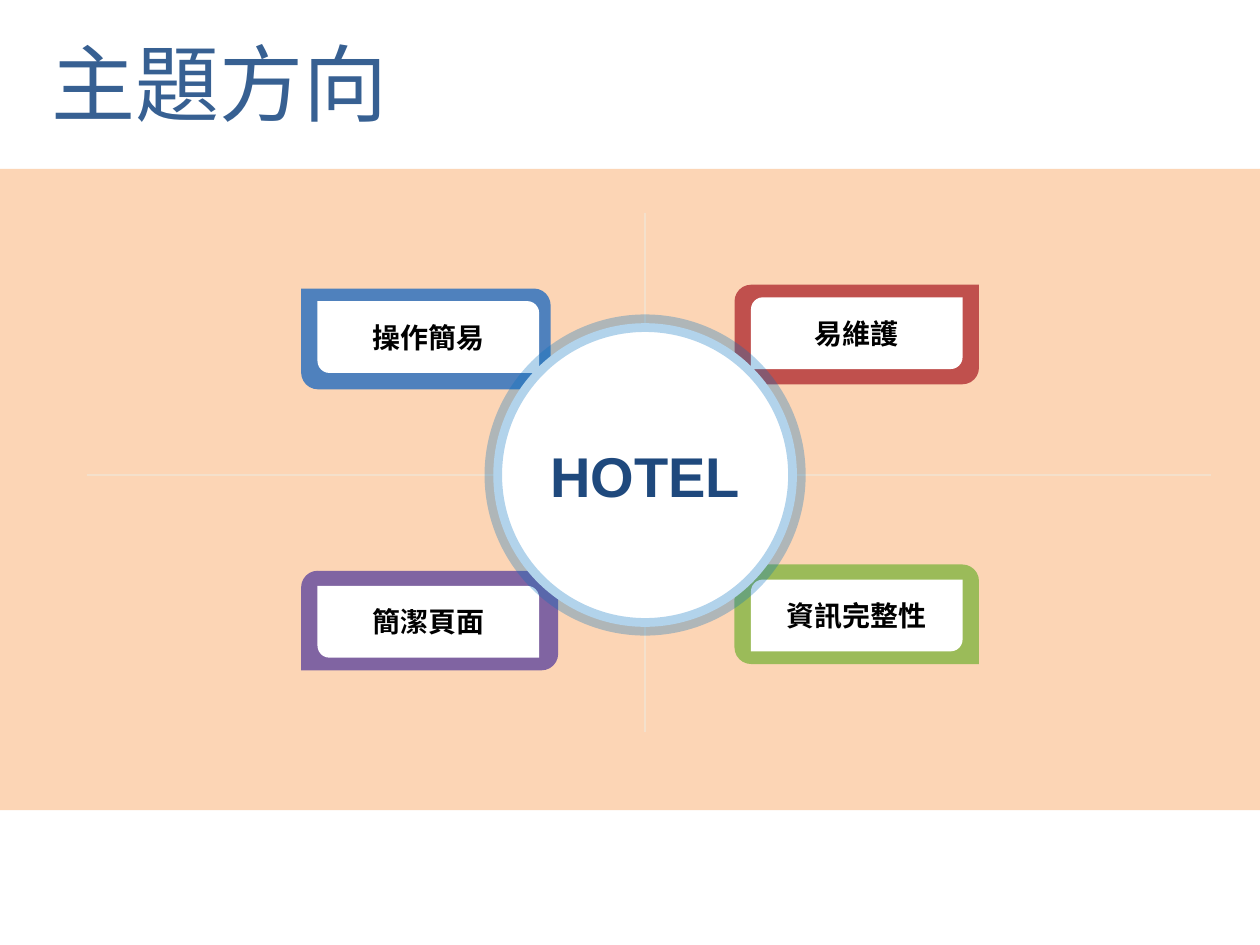
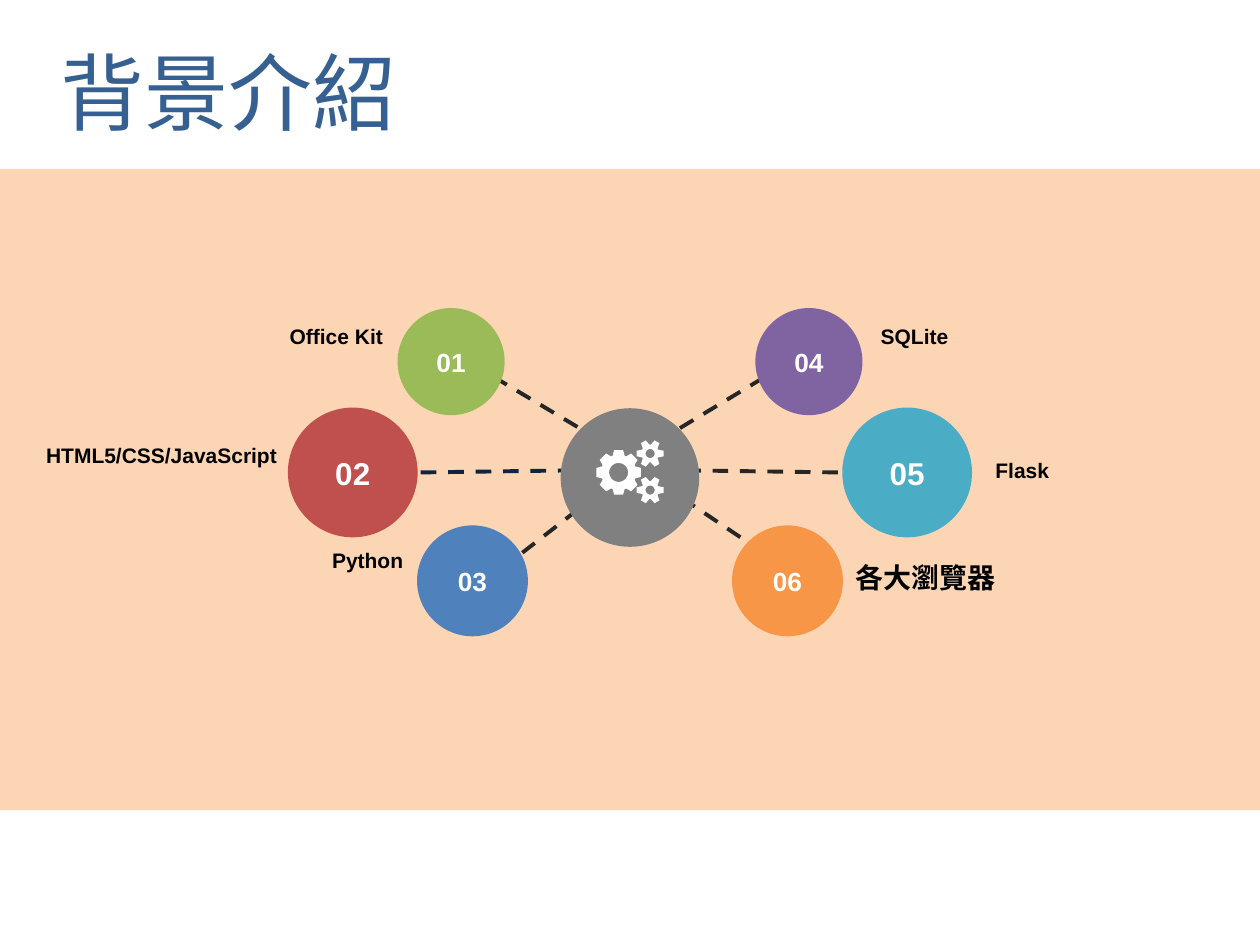
from math import cos, pi, sin

from lxml import etree
from pptx import Presentation
from pptx import util as u
from pptx.dml.color import RGBColor
from pptx.enum import dml, shapes, text
from pptx.oxml.ns import qn

WIDTH, HEIGHT = 10, 7.5
LATIN, CJK = "Arial", "Noto Sans CJK SC"
BAND, TITLE, WHITE, BLACK = "FCD5B5", "376092", "FFFFFF", "000000"
BLUE, RED, PURPLE, GREEN = "4F81BD", "C0504D", "8064A2", "9BBB59"
TEAL, ORANGE, GREY, DARK, NAVY = "4BACC6", "F79646", "808080", "262626", "0F243E"
FRAME_LINE, RING = "EEECE1", "0070C0"
LEFT, RIGHT = text.PP_ALIGN.LEFT, text.PP_ALIGN.RIGHT
CENTER = text.PP_ALIGN.CENTER
MIDDLE = text.MSO_ANCHOR.MIDDLE

# Title text and its top-left corner
THEME_TITLE = ("主題方向", 0.31, 0.2)
BACKGROUND_TITLE = ("背景介紹", 0.38, 0.27)

# label, colour, frame place, card place, frame mirrored, card mirrored
THEMES = [
    ("簡潔頁面", PURPLE, (2.39, 4.53, 2.04, 0.79), (2.52, 4.65, 1.76, 0.57), False, True),
    ("易維護", RED, (5.83, 2.26, 1.94, 0.79), (5.96, 2.36, 1.68, 0.57), False, False),
    ("操作簡易", BLUE, (2.39, 2.29, 1.98, 0.8), (2.52, 2.39, 1.76, 0.57), True, True),
    ("資訊完整性", GREEN, (5.83, 4.48, 1.94, 0.79), (5.96, 4.6, 1.68, 0.57), True, False),
]
AXES = [(0.69, 3.77, 9.61, 3.77), (5.12, 1.69, 5.12, 5.81)]

# Rows of circles, the same on both sides of the hub:
# distance from the hub, centre height, diameter, number size
ROWS = [(1.42, 2.87, 0.85, 15), (2.2, 3.75, 1.03, 18), (1.25, 4.61, 0.88, 15)]
HUB_X, HUB_Y, HUB_SIZE = 5.0, 3.79, 1.1
# label, colour, label's inner edge, top and width, font, size, spoke, spoke colour
LEFT_TOOLS = [
    ("Office Kit", GREEN, 3.11, 2.48, 3.0, LATIN, 12, (4.77, 3.5, 3.95, 3.01), DARK),
    ("HTML5/CSS/JavaScript", RED, 2.27, 3.42, 2.01, LATIN, 12, (4.77, 3.73, 3.3, 3.75), NAVY),
    ("Python", BLUE, 3.27, 4.26, 3.18, LATIN, 12, (4.76, 3.91, 4.09, 4.43), DARK),
]
RIGHT_TOOLS = [
    ("SQLite", PURPLE, 6.92, 2.48, 3.0, LATIN, 12, (5.21, 3.51, 6.04, 3.01), DARK),
    ("Flask", TEAL, 7.83, 3.54, 2.02, LATIN, 12, (5.22, 3.73, 6.69, 3.75), DARK),
    ("各大瀏覽器", ORANGE, 6.72, 4.43, 3.18, CJK, 16, (5.23, 3.83, 5.93, 4.3), DARK),
]
# centre x, centre y, tip radius, root radius, hole radius, teeth, half angles of tip and root
GEARS = [
    (4.91, 3.75, 0.18, 0.14, 0.075, 8, 0.2, 0.35),
    (5.16, 3.6, 0.11, 0.07, 0.036, 6, 0.2, 0.46),
    (5.16, 3.89, 0.11, 0.07, 0.036, 6, 0.2, 0.46),
]


def color(value):
    return RGBColor.from_string(value)


def inches(*lengths):
    return [u.Inches(length) for length in lengths]


def set_alpha(line, percent):
    fill = line.fill._xPr.find(qn("a:solidFill"))
    etree.SubElement(fill[0], qn("a:alpha"), val=str(percent * 1000))


def write(box, words, size, ink, font=LATIN, bold=True, align=CENTER,
          anchor=MIDDLE, wrap=True, insets=(0.07, 0.04)):
    frame = box.text_frame
    frame.word_wrap = wrap
    frame.vertical_anchor = anchor
    frame.margin_left = frame.margin_right = u.Inches(insets[0])
    frame.margin_top = frame.margin_bottom = u.Inches(insets[1])
    para = frame.paragraphs[0]
    para.text = words
    para.alignment = align
    para.font.size = u.Pt(size)
    para.font.bold = bold
    para.font.name = font
    para.font.color.rgb = color(ink)
    if font == CJK:
        default = para._p.pPr.find(qn("a:defRPr"))
        etree.SubElement(default, qn("a:ea"), typeface=font)
    return para


def paint(shape, fill):
    shape.shadow.inherit = False
    shape.fill.solid()
    shape.fill.fore_color.rgb = color(fill)
    shape.line.fill.background()
    return shape


def add_shape(slide, kind, place, fill):
    return paint(slide.shapes.add_shape(kind, *inches(*place)), fill)


def add_circle(slide, x, y, size, fill):
    place = (x - size / 2, y - size / 2, size, size)
    return add_shape(slide, shapes.MSO_SHAPE.OVAL, place, fill)


def add_card(slide, place, fill, mirrored):
    """Rectangle with two opposite round corners; mirrored rounds the other pair."""
    card = add_shape(slide, shapes.MSO_SHAPE.ROUND_2_DIAG_RECTANGLE, place, fill)
    if mirrored:
        card.adjustments[0], card.adjustments[1] = 0, 0.1667
    return card


def add_line(slide, ends, ink, width):
    line = slide.shapes.add_connector(shapes.MSO_CONNECTOR.STRAIGHT, *inches(*ends))
    line.line.color.rgb = color(ink)
    line.line.width = u.Pt(width)
    etree.SubElement(line._element.spPr, qn("a:effectLst"))
    return line.line


def add_slide(deck, title, left, top):
    """Slide with the shared title style and coloured band."""
    slide = deck.slides.add_slide(deck.slide_layouts[5])
    box = slide.shapes.title
    box.left, box.top, box.width, box.height = inches(left, top, 4.84, 0.91)
    write(box, title, 48, TITLE, CJK, bold=False, align=LEFT,
          anchor=text.MSO_ANCHOR.TOP, insets=(0.1, 0.05))
    box.text_frame.auto_size = text.MSO_AUTO_SIZE.NONE
    add_shape(slide, shapes.MSO_SHAPE.RECTANGLE, (0, 1.34, WIDTH, 5.09), BAND)
    return slide


def ring(x, y, polar):
    return [inches(x + r * cos(a), y + r * sin(a)) for a, r in polar]


def gear_outlines(x, y, tip, root, hole, teeth, tip_half, root_half):
    """Toothed rim and round hole of a gear, as two lists of points."""
    tooth = [(-root_half, root), (-tip_half, tip), (tip_half, tip), (root_half, root)]
    rim = [(2 * pi * n / teeth + a, r) for n in range(teeth) for a, r in tooth]
    circle = [(-2 * pi * n / 36, hole) for n in range(36)]
    return [ring(x, y, rim), ring(x, y, circle)]


def add_gears(slide):
    outlines = [outline for gear in GEARS for outline in gear_outlines(*gear)]
    builder = slide.shapes.build_freeform(*outlines[0][0])
    for number, points in enumerate(outlines):
        if number:
            builder.move_to(*points[0])
        builder.add_line_segments(points[1:], close=True)
    paint(builder.convert_to_shape(), WHITE)


def add_theme_slide(deck):
    slide = add_slide(deck, *THEME_TITLE)
    for _, fill, frame, _, mirrored, _ in THEMES:
        add_card(slide, frame, fill, mirrored)
    for ends in AXES:
        set_alpha(add_line(slide, ends, FRAME_LINE, 1), 50)
    for label, _, _, place, _, mirrored in THEMES:
        write(add_card(slide, place, WHITE, mirrored), label, 16, BLACK, CJK)
    hub = add_circle(slide, 5.12, 3.77, 2.41, WHITE)
    hub.line.color.rgb = color(RING)
    hub.line.width = u.Pt(10)
    set_alpha(hub.line, 30)
    write(hub, "HOTEL", 32, "1F497D")


def add_background_slide(deck):
    slide = add_slide(deck, *BACKGROUND_TITLE)
    tools = LEFT_TOOLS + RIGHT_TOOLS
    for *_, ends, ink in tools:
        add_line(slide, ends, ink, 2.25).dash_style = dml.MSO_LINE.DASH
    add_circle(slide, HUB_X, HUB_Y, HUB_SIZE, GREY)
    add_gears(slide)
    for number, (tool, row) in enumerate(zip(tools, ROWS * 2), 1):
        label, fill, edge, top, width, font, size, *_ = tool
        distance, y, diameter, number_size = row
        on_left = number <= len(LEFT_TOOLS)
        x = HUB_X - distance if on_left else HUB_X + distance
        circle = add_circle(slide, x, y, diameter, fill)
        write(circle, f"{number:02}", number_size, WHITE, wrap=False)
        left = edge - width if on_left else edge
        box = slide.shapes.add_textbox(*inches(left, top, width, 0.33))
        para = write(box, label, size, BLACK, font, align=RIGHT if on_left else LEFT,
                     anchor=text.MSO_ANCHOR.BOTTOM)
        if font == CJK:
            para.line_spacing = 0.9


def main():
    deck = Presentation()
    deck.slide_width, deck.slide_height = inches(WIDTH, HEIGHT)
    add_theme_slide(deck)
    add_background_slide(deck)
    deck.save("out.pptx")


if __name__ == "__main__":
    main()
